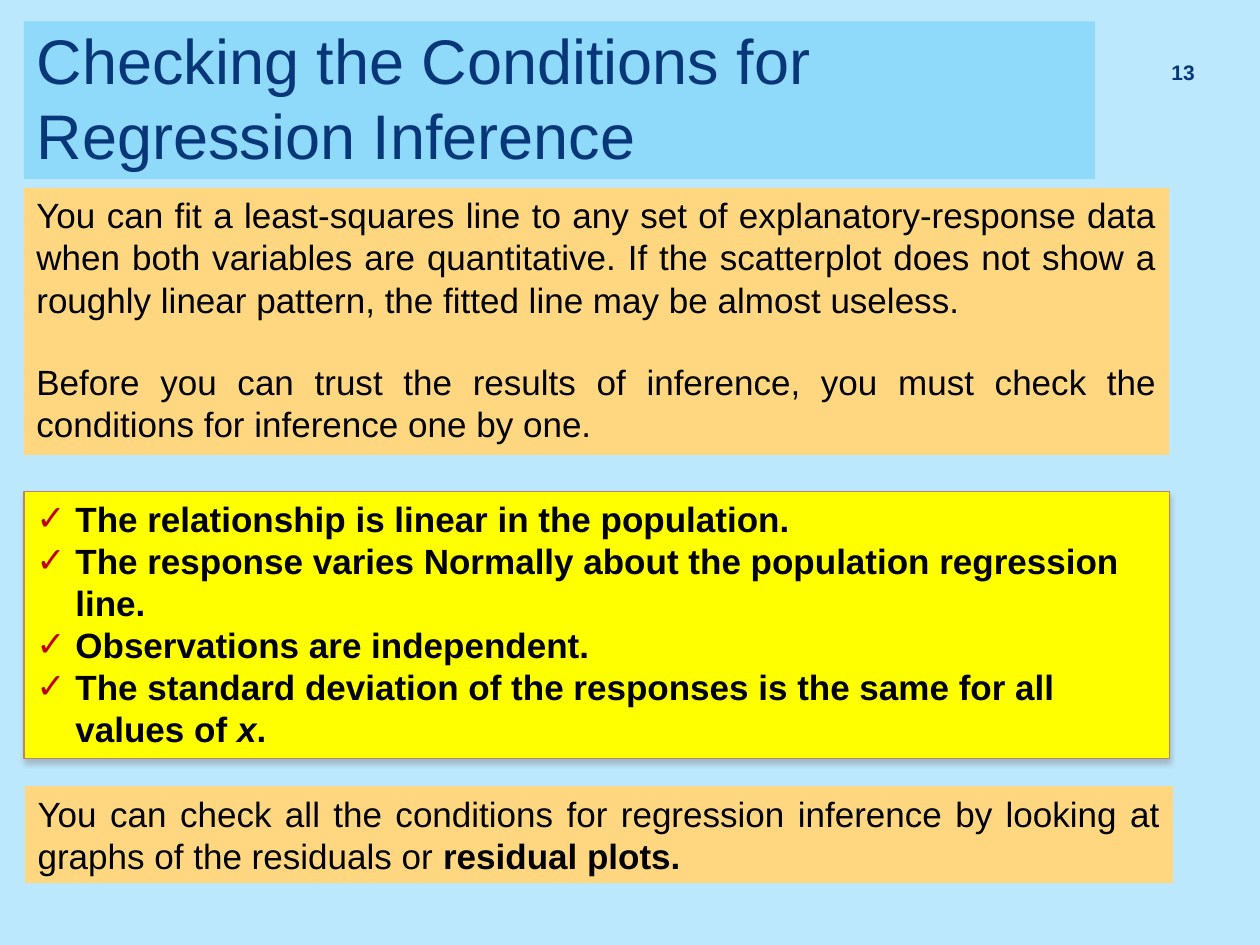
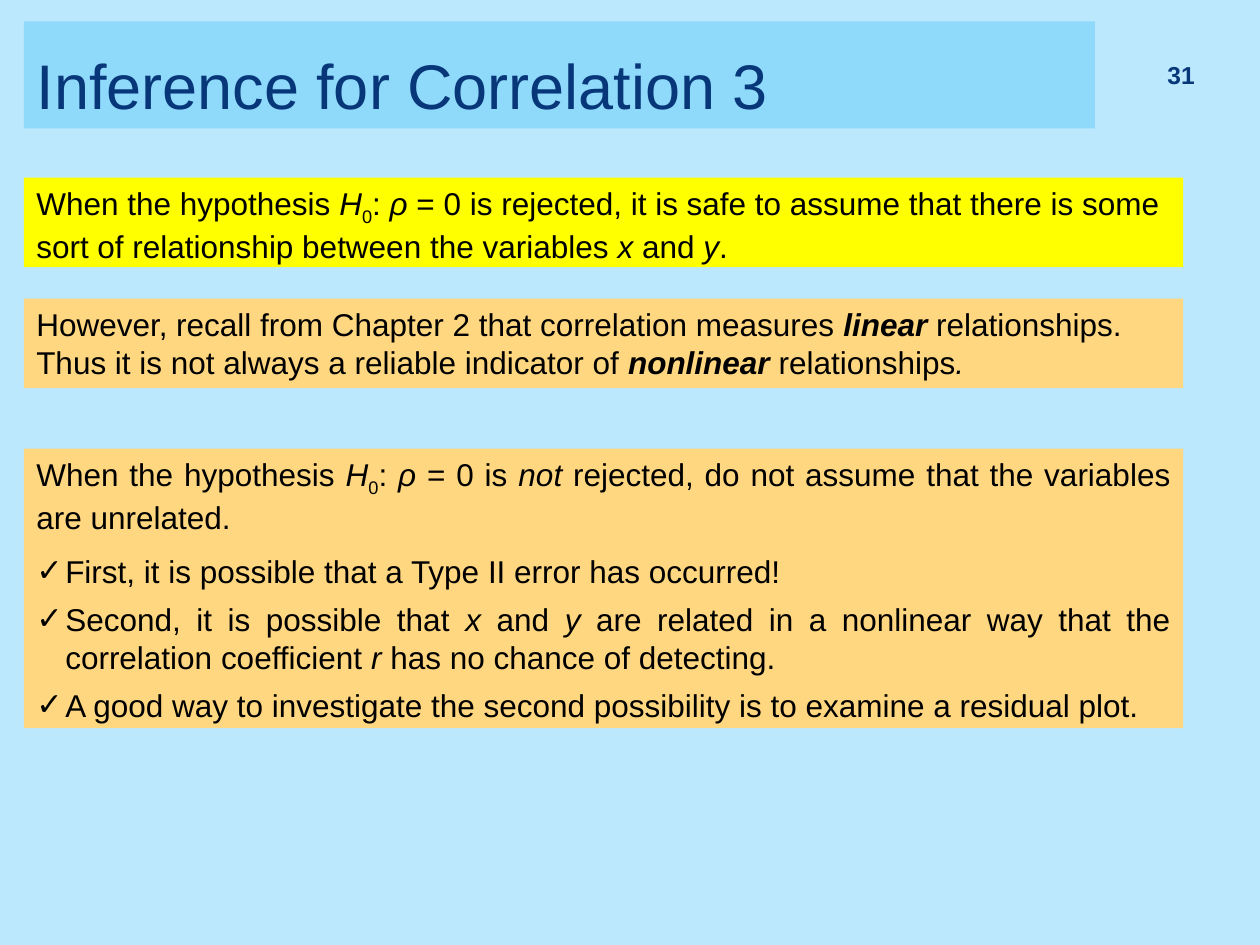
from lxml.etree import SubElement
from pptx import Presentation
from pptx.dml.color import RGBColor as RGB
from pptx.enum.shapes import MSO_SHAPE as Geo
from pptx.enum.text import MSO_ANCHOR as Anchor, MSO_AUTO_SIZE as Fit, PP_ALIGN as Align
from pptx.oxml.ns import qn
from pptx.util import Inches, Pt

SKY = RGB(0xBC, 0xE8, 0xFD)
BAND = RGB(0x8F, 0xD9, 0xFB)
NAVY = RGB(0x07, 0x37, 0x79)
SAND = RGB(0xFF, 0xD7, 0x80)
YELLOW = RGB(0xFF, 0xFF, 0x00)
BROWN = RGB(0xB8, 0x84, 0x72)
RED = RGB(0xC0, 0x00, 0x00)
BLACK = RGB(0x00, 0x00, 0x00)
GREY = RGB(0x80, 0x80, 0x80)
FACE = "Arial"
LEFT = 0.19

NULL = [("H", "i"), ("0", "s"), ": ", ("ρ", "i")]  # the null hypothesis


def place(shape, left, top, width, height):
    shape.left, shape.top = Inches(left), Inches(top)
    shape.width, shape.height = Inches(width), Inches(height)


def paint(shape, color):
    shape.fill.solid()
    shape.fill.fore_color.rgb = color


def style(para, size, color, bold=None):
    font = para.font
    font.name, font.size, font.bold = FACE, Pt(size), bold
    font.color.rgb = color


class Deck:
    def __init__(self):
        self.prs = Presentation()
        self.prs.slide_width, self.prs.slide_height = Inches(10), Inches(7.5)
        paint(self.prs.slide_master.background, SKY)

    def start(self, title, height, number, size, leading=None):
        """Add a slide with its title band and slide number."""
        self.slide = self.prs.slides.add_slide(self.prs.slide_layouts[5])
        head = self.slide.shapes.title
        place(head, LEFT, 0.17, 8.5, height)
        paint(head, BAND)
        frame = head.text_frame
        frame.text = title
        frame.auto_size, frame.vertical_anchor = Fit.NONE, Anchor.BOTTOM
        para = frame.paragraphs[0]
        para.alignment = Align.LEFT
        style(para, 36, NAVY)

        box = self.slide.shapes.add_textbox(0, 0, 0, 0)
        place(box, 9.03, 0.39, 0.55, 0.4)
        frame = box.text_frame
        frame.text = number
        frame.word_wrap, frame.vertical_anchor = True, Anchor.MIDDLE
        para = frame.paragraphs[0]
        para.alignment, para.line_spacing = Align.RIGHT, leading
        style(para, size, NAVY, True)

    def panel(self, top, width, height, color, left=LEFT):
        """Add a filled box and return it, ready for text."""
        box = self.slide.shapes.add_shape(Geo.RECTANGLE, 0, 0, 0, 0)
        place(box, left, top, width, height)
        paint(box, color)
        box.line.fill.background()
        box.shadow.inherit = False
        frame = box.text_frame
        frame.word_wrap, frame.auto_size = True, Fit.SHAPE_TO_FIT_TEXT
        frame.vertical_anchor = Anchor.TOP
        return box

    def say(self, box, parts, size, align=Align.JUSTIFY, bold=None,
            tick=None, hang=0.0, before=None, after=None):
        """Add a paragraph of plain strings and (text, marks) pairs: b, i, s(ub)."""
        frame = box.text_frame
        para = frame.paragraphs[0]
        if para.runs:
            para = frame.add_paragraph()
        para.alignment = align
        if before:
            para.space_before = Pt(before)
        if after:
            para.space_after = Pt(after)
        if tick is not None:
            self.bullet(para, tick, hang)
        style(para, size, BLACK, bold)
        for part in parts:
            text, marks = (part, "") if isinstance(part, str) else part
            run = para.add_run()
            run.text = text
            if "b" in marks:
                run.font.bold = True
            if "i" in marks:
                run.font.italic = True
            if "s" in marks:
                run.font._element.set("baseline", "-25000")

    def bullet(self, para, color, hang):
        props = para._p.get_or_add_pPr()
        props.set("marL", str(Inches(hang)))
        props.set("indent", str(-Inches(hang)))
        SubElement(SubElement(props, qn("a:buClr")), qn("a:srgbClr"), val=str(color))
        SubElement(props, qn("a:buFont"), typeface=FACE)
        SubElement(props, qn("a:buChar"), char="✓")

    def edge(self, box):
        """Give a box a thin outline and a soft shadow below it."""
        box.line.color.rgb, box.line.width = BROWN, Pt(0.79)
        effects = box._element.spPr.find(qn("a:effectLst"))
        shade = SubElement(effects, qn("a:outerShdw"), blurRad=str(Pt(3)),
                           dist=str(Pt(2.4)), dir="5400000", rotWithShape="0")
        tone = SubElement(shade, qn("a:srgbClr"), val=str(GREY))
        SubElement(tone, qn("a:alpha"), val="45000")


def conditions(deck):
    deck.start("Checking the Conditions for Regression Inference", 1.25, "13", 12, 0.8)
    intro = deck.panel(1.49, 9.09, 2.12, SAND)
    deck.say(intro, ["You can fit a least-squares line to any set of explanatory-response "
                     "data when both variables are quantitative. If the scatterplot does "
                     "not show a roughly linear pattern, the fitted line may be almost "
                     "useless."], 20)
    deck.say(intro, ["Before you can trust the results of inference, you must check the "
                     "conditions for inference one by one."], 20, before=23)

    checks = deck.panel(3.9, 9.09, 2.12, YELLOW)
    deck.edge(checks)
    for parts in (
        ["The relationship is linear in the population."],
        ["The response varies Normally about the population regression line."],
        ["Observations are independent."],
        ["The standard deviation of the responses is the same for all values of ",
         ("x", "i"), "."],
    ):
        deck.say(checks, parts, 20, Align.LEFT, True, RED, 0.31)

    close = deck.panel(6.24, 9.11, 0.77, SAND, 0.2)
    deck.say(close, ["You can check all the conditions for regression inference by looking "
                     "at graphs of the residuals or ", ("residual plots.", "b")], 20)


def correlation(deck):
    deck.start("Inference for Correlation 3", 0.85, "31", 14)
    reject = deck.panel(1.41, 9.2, 0.71, YELLOW)
    deck.say(reject, ["When the hypothesis ", *NULL,
                      " = 0 is rejected, it is safe to assume that there is some sort of "
                      "relationship between the variables ", ("x", "i"), " and ",
                      ("y", "i"), "."], 18, Align.LEFT)

    recall = deck.panel(2.37, 9.2, 0.71, SAND)
    deck.say(recall, ["However, recall from Chapter 2 that correlation measures ",
                      ("linear ", "bi"),
                      "relationships. Thus it is not always a reliable indicator of ",
                      ("nonlinear ", "bi"), "relationships", (".", "i")], 18, Align.LEFT)

    keep = deck.panel(3.56, 9.2, 2.22, SAND)
    deck.say(keep, ["When the hypothesis ", *NULL, " = 0 is ", ("not", "i"),
                    " rejected, do not assume that the variables are unrelated."],
             18, after=9.2)
    for parts in (
        ["First, it is possible that a Type II error has occurred!"],
        ["Second, it is possible that ", ("x", "i"), " and ", ("y", "i"),
         " are related in a nonlinear way that the correlation coefficient ",
         ("r", "i"), " has no chance of detecting."],
        ["A good way to investigate the second possibility is to examine a residual plot."],
    ):
        deck.say(keep, parts, 18, tick=BLACK, hang=0.23, after=6)


def main():
    deck = Deck()
    conditions(deck)
    correlation(deck)
    deck.prs.save("out.pptx")


if __name__ == "__main__":
    main()
